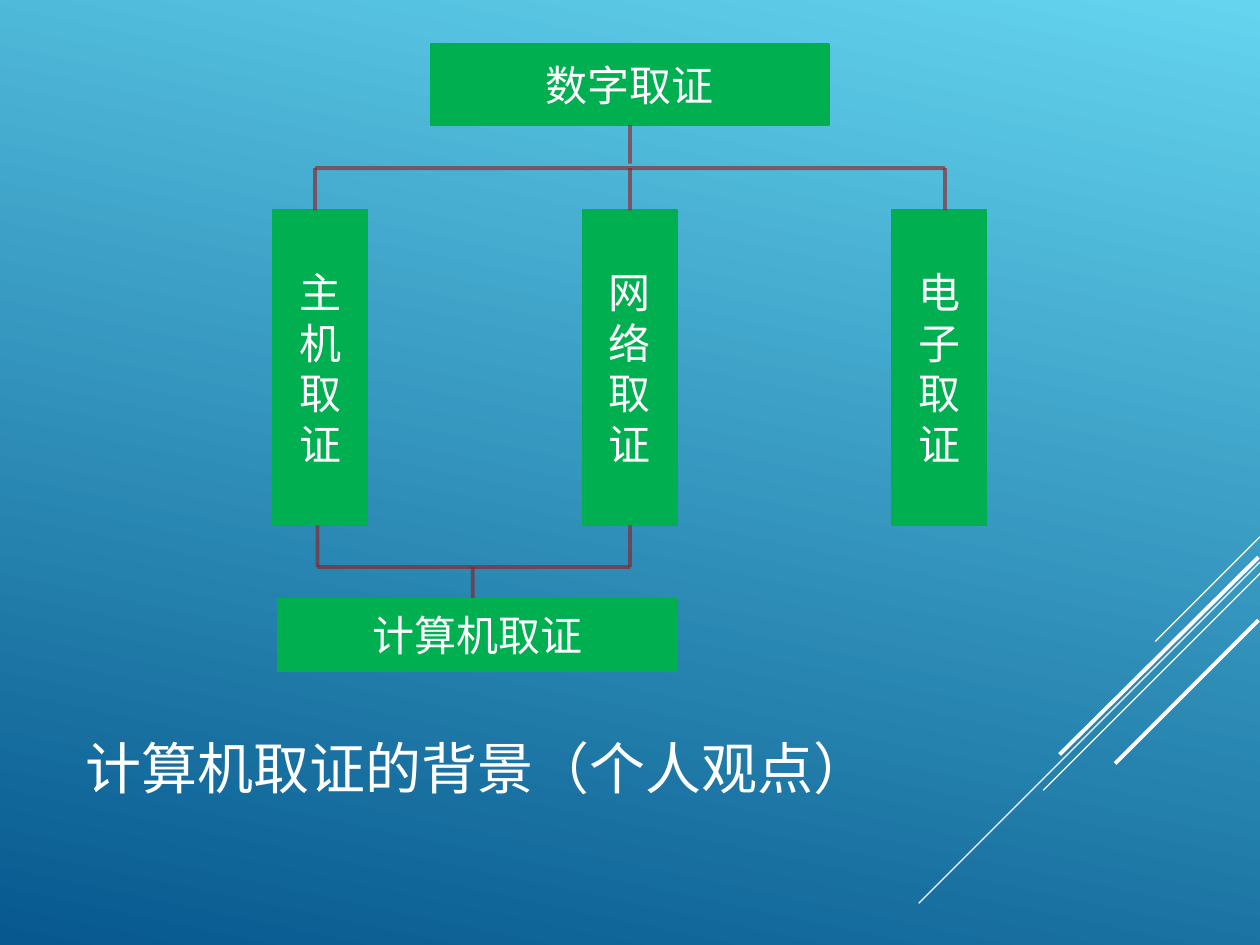
"""Builds the slide on the background of computer forensics."""
from lxml import etree
from pptx import Presentation
from pptx.dml.color import RGBColor
from pptx.enum.shapes import MSO_CONNECTOR, MSO_SHAPE
from pptx.enum.text import MSO_ANCHOR, PP_ALIGN
from pptx.oxml.ns import qn
from pptx.util import Cm, Pt

STRAIGHT = MSO_CONNECTOR.STRAIGHT
RECTANGLE = MSO_SHAPE.RECTANGLE
MIDDLE = MSO_ANCHOR.MIDDLE
LEFT, CENTER = PP_ALIGN.LEFT, PP_ALIGN.CENTER
TOP_SIDE, BOTTOM_SIDE = 0, 2

SKY = RGBColor(0x64, 0xD4, 0xEF)
NAVY = RGBColor(0x06, 0x58, 0x8E)
WHITE = RGBColor(0xFF, 0xFF, 0xFF)
GREEN = RGBColor(0x00, 0xB0, 0x50)
DARK_RED = RGBColor(0x95, 0x1A, 0x1B)
FONT = "Quicksand"

BRANCHES = ("主机取证", "网络取证", "电子取证")
BRANCH_LEFT, BRANCH_PITCH = 5.51, 6.24
BRANCH_TOP, BRANCH_BOTTOM = 4.24, 10.59
ROOT_BOTTOM = 2.52
UPPER_BAR, LOWER_BAR = 3.39, 11.43
CENTER_X = 12.7
RESULT_TOP = 12.07

STRIPES = (
    (25.4, 10.82, 23.29, 12.93, 0.75),
    (25.4, 11.33, 18.52, 18.21, 0.75),
    (25.4, 11.56, 21.03, 15.93, 0.75),
    (25.37, 11.23, 21.36, 15.21, 2.25),
    (25.37, 12.5, 22.48, 15.39, 2.25),
)


def paint_background(page):
    """Fill the page with the diagonal blue gradient."""
    fill = page.background.fill
    fill.gradient()
    fill.gradient_angle = 258
    for stop, color in zip(fill.gradient_stops, (SKY, NAVY)):
        stop.color.rgb = color


def write_text(shape, text, size, alignment):
    """Put one vertically centred white paragraph into a shape."""
    frame = shape.text_frame
    frame.word_wrap = True
    frame.vertical_anchor = MIDDLE
    frame.text = text
    para = frame.paragraphs[0]
    para.alignment = alignment
    font = para.runs[0].font
    font.name = FONT
    font.size = Pt(size)
    font.color.rgb = WHITE
    properties = para.runs[0]._r.get_or_add_rPr()
    etree.SubElement(properties, qn("a:ea"), typeface=FONT)


def add_box(page, text, left, top, width, height):
    """Add a green labelled rectangle."""
    box = page.shapes.add_shape(RECTANGLE, Cm(left), Cm(top), Cm(width), Cm(height))
    box.shadow.inherit = False
    box.fill.solid()
    box.fill.fore_color.rgb = GREEN
    box.line.color.rgb = GREEN
    box.line.width = Pt(1)
    write_text(box, text, 24, CENTER)
    return box


def add_title(page, text):
    """Add the slide title."""
    box = page.shapes.add_textbox(Cm(1.47), Cm(13.34), Cm(18.21), Cm(4.24))
    write_text(box, text, 32, LEFT)


def add_line(page, x1, y1, x2, y2, color=DARK_RED, width=2.25, opacity=60):
    """Add a straight line without shadow."""
    line = page.shapes.add_connector(STRAIGHT, Cm(x1), Cm(y1), Cm(x2), Cm(y2))
    line.line.color.rgb = color
    line.line.width = Pt(width)
    etree.SubElement(line._element.spPr, qn("a:effectLst"))
    if opacity < 100:
        tint = line._element.spPr.find(".//" + qn("a:srgbClr"))
        etree.SubElement(tint, qn("a:alpha"), val=str(opacity * 1000))
    return line


def link_boxes(page, root, network):
    """Draw the brackets between the levels of the diagram."""
    add_line(page, 6.35, UPPER_BAR, 19.05, UPPER_BAR)
    for x in (6.35, 19.05):
        add_line(page, x, UPPER_BAR, x, BRANCH_TOP)
    drop = add_line(page, CENTER_X, UPPER_BAR, CENTER_X, BRANCH_TOP)
    drop.end_connect(network, TOP_SIDE)
    trunk = add_line(page, CENTER_X, 3.3, CENTER_X, ROOT_BOTTOM)
    trunk.end_connect(root, BOTTOM_SIDE)
    add_line(page, 6.4, BRANCH_BOTTOM, 6.4, LOWER_BAR)
    add_line(page, 6.4, LOWER_BAR, CENTER_X, LOWER_BAR)
    rise = add_line(page, CENTER_X, LOWER_BAR, CENTER_X, BRANCH_BOTTOM)
    rise.end_connect(network, BOTTOM_SIDE)
    add_line(page, 9.53, LOWER_BAR, 9.53, RESULT_TOP)


def main():
    """Build and save the deck."""
    deck = Presentation()
    deck.slide_width, deck.slide_height = Cm(25.4), Cm(19.05)
    page = deck.slides.add_slide(deck.slide_layouts[6])
    paint_background(page)
    for x1, y1, x2, y2, width in STRIPES:
        add_line(page, x1, y1, x2, y2, WHITE, width, 100)
    add_title(page, "计算机取证的背景（个人观点）")
    root = add_box(page, "数字取证", 8.68, 0.89, 8.04, ROOT_BOTTOM - 0.89)
    branches = [
        add_box(page, text, BRANCH_LEFT + index * BRANCH_PITCH, BRANCH_TOP,
                1.9, BRANCH_BOTTOM - BRANCH_TOP)
        for index, text in enumerate(BRANCHES)
    ]
    link_boxes(page, root, branches[1])
    add_box(page, "计算机取证", 5.61, RESULT_TOP, 8.04, 1.47)
    deck.save("out.pptx")


if __name__ == "__main__":
    main()
